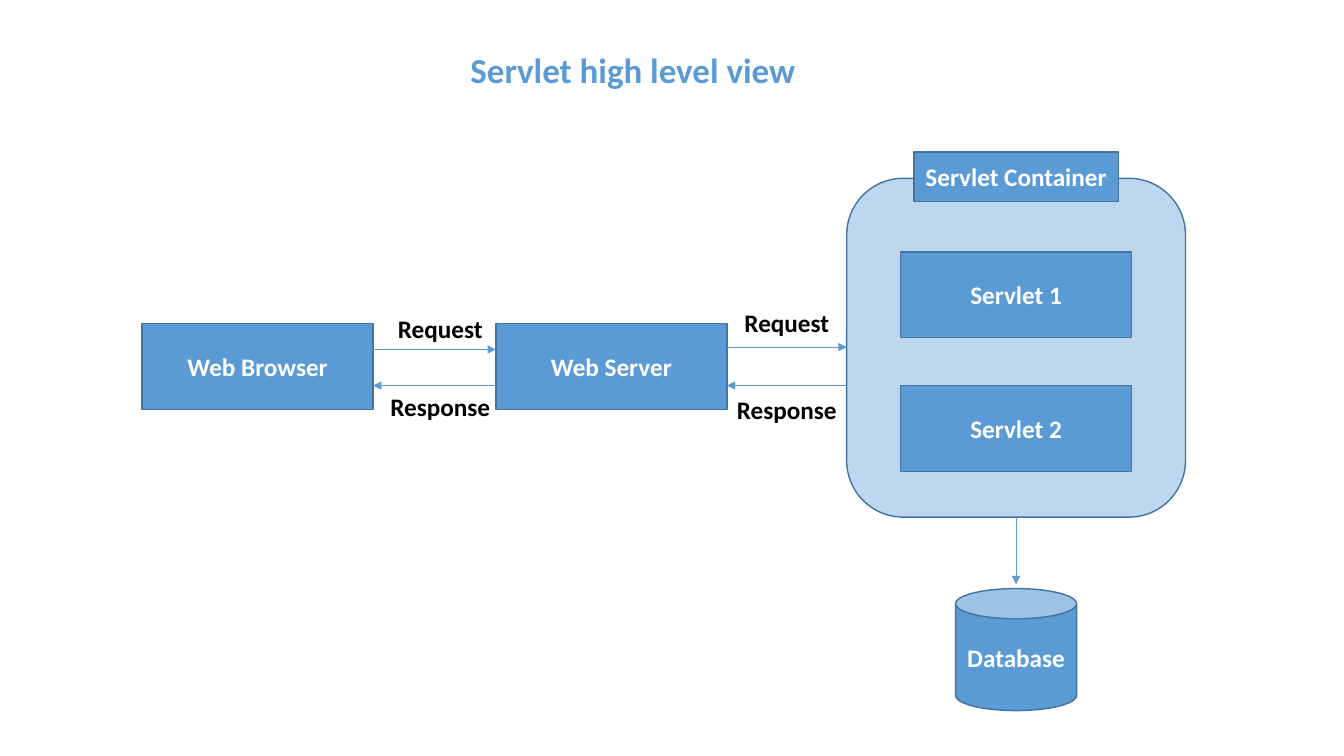
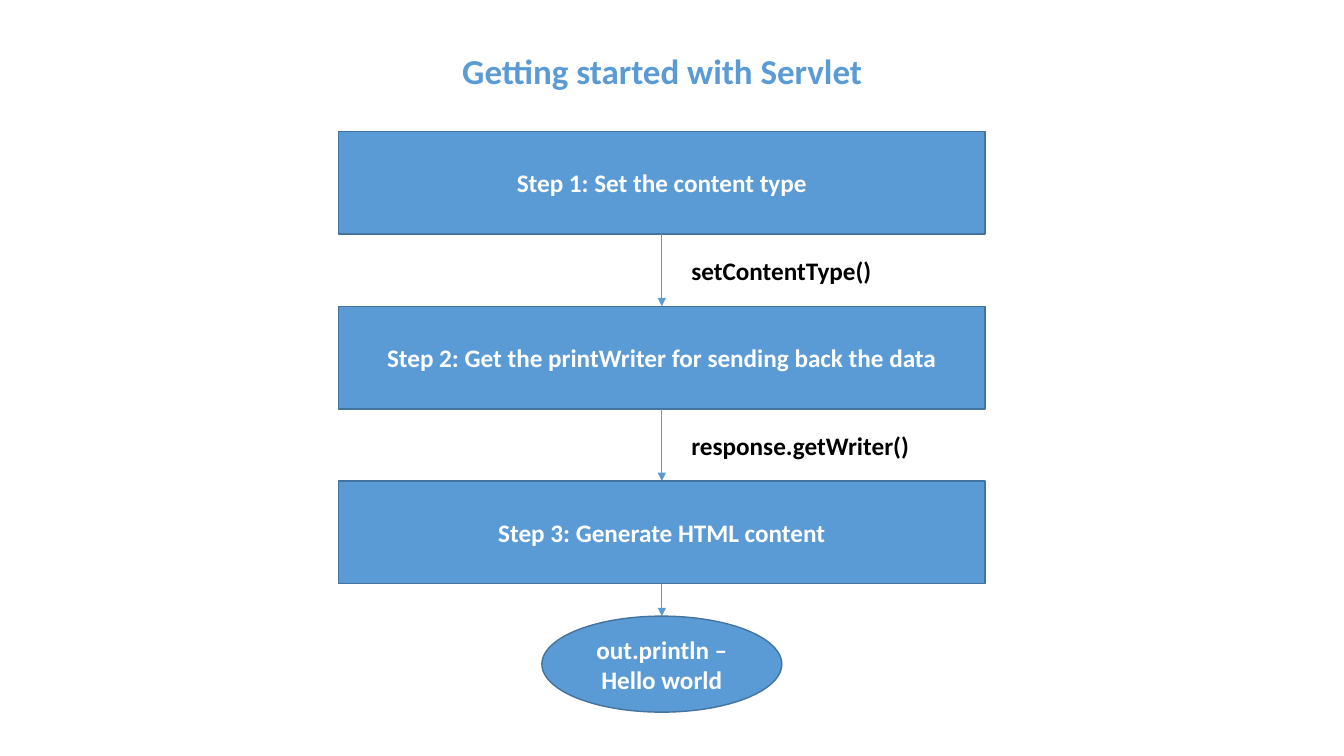
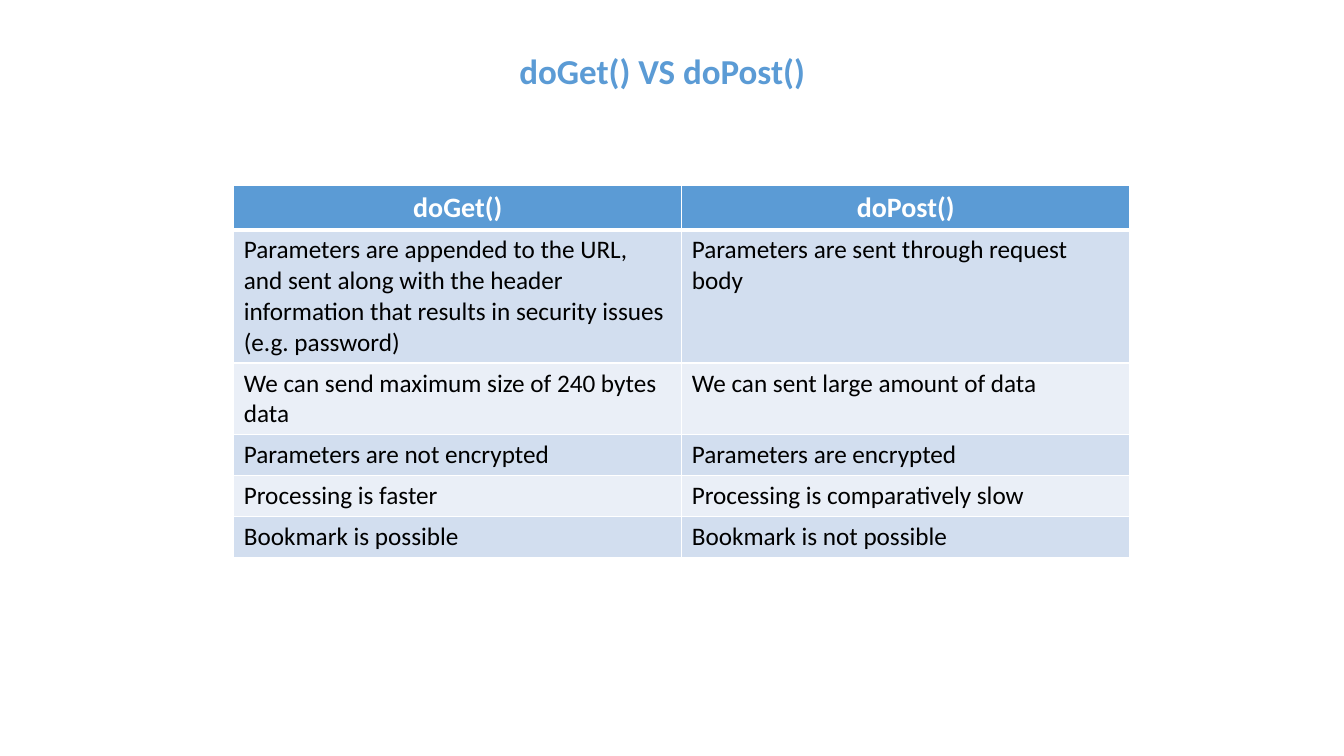
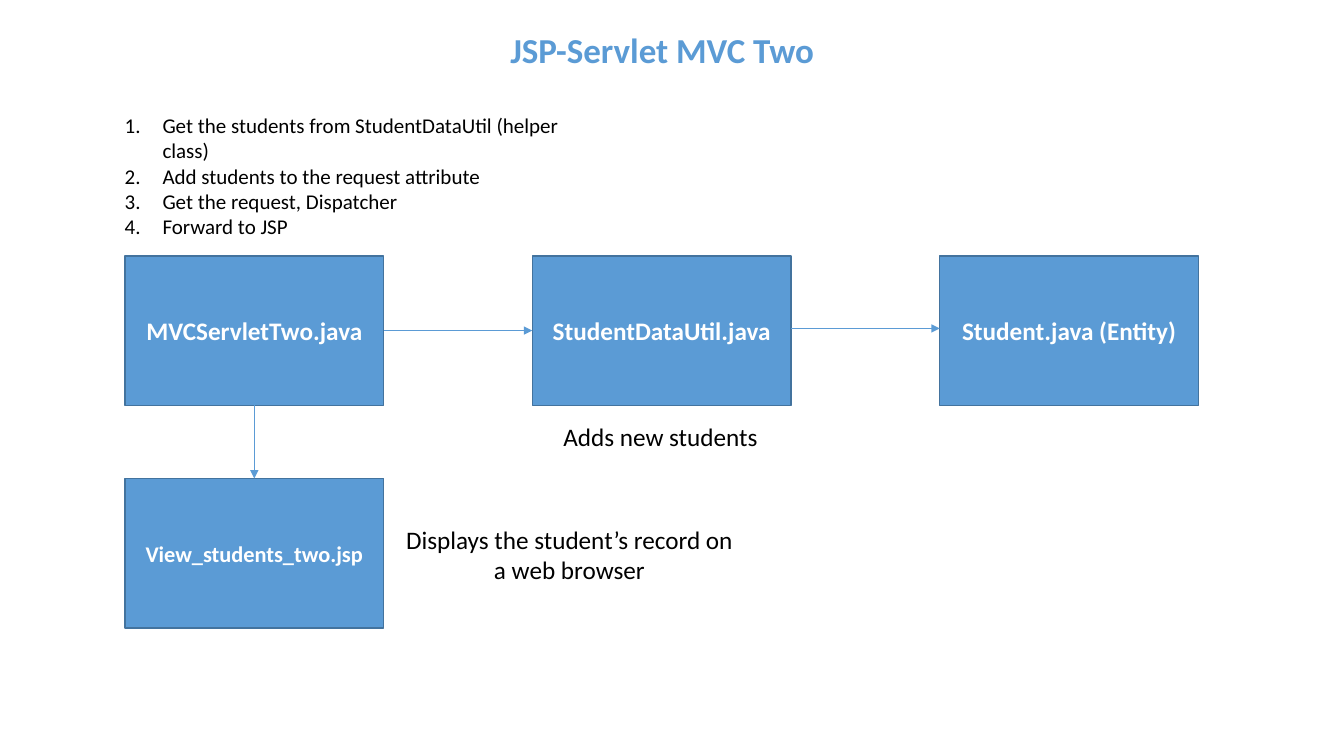
from dataclasses import dataclass

from lxml import etree
from pptx import Presentation
from pptx import util as u
from pptx.dml.color import RGBColor
from pptx.enum import shapes, text
from pptx.oxml import ns

BLUE = RGBColor(0x5B, 0x9B, 0xD5)
OUTLINE = RGBColor(0x43, 0x73, 0x9E)
PALE_BLUE = RGBColor(0xBD, 0xD7, 0xEE)
BAND_DARK = RGBColor(0xD2, 0xDE, 0xEF)
BAND_LIGHT = RGBColor(0xEA, 0xEF, 0xF7)
WHITE = RGBColor(0xFF, 0xFF, 0xFF)
BLACK = RGBColor(0, 0, 0)

TITLE = {"name": "Calibri", "size": u.Pt(25), "bold": True}
STRONG = {"name": "Calibri", "size": u.Pt(18), "bold": True}
SMALL_STRONG = {**STRONG, "size": u.Pt(16)}
HEADER = {**STRONG, "size": u.Pt(20)}
PLAIN = {**STRONG, "bold": False}
LIST = {**PLAIN, "size": u.Pt(15)}

LABEL_HEIGHT = 29
LEFT, CENTER = text.PP_ALIGN.LEFT, text.PP_ALIGN.CENTER
PRESET = shapes.MSO_SHAPE


@dataclass
class Box:
    """A rectangle in points."""
    left: float
    top: float
    width: float
    height: float

    @property
    def right(self):
        """Right edge."""
        return self.left + self.width

    @property
    def bottom(self):
        """Bottom edge."""
        return self.top + self.height

    @property
    def center(self):
        """Horizontal middle."""
        return self.left + self.width / 2

    def inner(self, across, down, width, height):
        """Box placed from this box's top left corner."""
        return Box(self.left + across, self.top + down, width, height)

    def centered(self, down, width, height):
        """Box centred across this one."""
        return self.inner((self.width - width) / 2, down, width, height)

    def lengths(self):
        """Position and size for python-pptx."""
        return [u.Pt(value) for value in (self.left, self.top, self.width, self.height)]


def add_xml(parent, tag, **attributes):
    """Append one DrawingML element."""
    return etree.SubElement(parent, ns.qn(tag), attributes)


def write(paragraph, words, style, color, alignment):
    """Put one formatted run in a paragraph."""
    run = paragraph.add_run()
    run.text = words
    for name, value in style.items():
        setattr(run.font, name, value)
    run.font.color.rgb = color
    paragraph.alignment = alignment


def add_title(slide, words, left=59, top=0):
    """Place and format the title placeholder."""
    title = slide.shapes.title
    title.left, title.top, title.width, title.height = Box(left, top, 828, 104.4).lengths()
    title.text_frame.vertical_anchor = text.MSO_ANCHOR.MIDDLE
    paragraph = title.text_frame.paragraphs[0]
    paragraph.line_spacing = 0.9
    write(paragraph, words, TITLE, BLUE, CENTER)


def add_node(slide, box, words="", preset=PRESET.RECTANGLE, fill=BLUE, style=STRONG):
    """Draw an outlined shape with centred white text."""
    shape = slide.shapes.add_shape(preset, *box.lengths())
    shape.shadow.inherit = False
    shape.fill.solid()
    shape.fill.fore_color.rgb = fill
    shape.line.color.rgb = OUTLINE
    shape.line.width = u.Pt(1)
    if words:
        shape.text_frame.word_wrap = True
        write(shape.text_frame.paragraphs[0], words, style, WHITE, CENTER)


def add_text(slide, box, lines, style=STRONG, alignment=LEFT, wrap=False):
    """Add a black text box with one paragraph per line and return its paragraphs."""
    frame = slide.shapes.add_textbox(*box.lengths()).text_frame
    frame.word_wrap = wrap
    frame.auto_size = text.MSO_AUTO_SIZE.SHAPE_TO_FIT_TEXT
    for index, line in enumerate(lines):
        paragraph = frame.add_paragraph() if index else frame.paragraphs[0]
        write(paragraph, line, style, BLACK, alignment)
    return frame.paragraphs


def add_arrow(slide, *ends):
    """Draw a thin arrow from x, y to x, y."""
    arrow = slide.shapes.add_connector(
        shapes.MSO_CONNECTOR.STRAIGHT, *[u.Pt(value) for value in ends])
    arrow.line.color.rgb = BLUE
    arrow.line.width = u.Pt(0.5)
    add_xml(arrow.line._get_or_add_ln(), "a:tailEnd", type="triangle")
    add_xml(arrow._element.spPr, "a:effectLst")


def add_exchange(slide, box, shift, spread):
    """Draw a labelled request along the box top and its response along the bottom."""
    add_arrow(slide, box.left, box.top, box.right, box.top)
    add_arrow(slide, box.right, box.bottom, box.left, box.bottom)
    labels = (("Request", 75.6, -LABEL_HEIGHT - spread), ("Response", 86.4, box.height + spread))
    for words, width, down in labels:
        label = box.centered(down, width, LABEL_HEIGHT)
        label.left += shift
        add_text(slide, label, [words])


def add_container(slide, box):
    """Draw the servlet container with its tag, servlets and database."""
    add_node(slide, box, preset=PRESET.ROUNDED_RECTANGLE, fill=PALE_BLUE)
    for index in range(2):
        servlet = box.centered(52.6 + index * 95.5, 165, 61.2)
        add_node(slide, servlet, f"Servlet {index + 1}")
    add_node(slide, box.centered(-18.7, 146, 35.3), "Servlet Container")
    database = box.centered(box.height + 51, 86.4, 87.2)
    add_arrow(slide, box.center, box.bottom, box.center, database.top - 3)
    add_node(slide, database, "Database", PRESET.CAN)


def add_overview(slide, box):
    """Draw browser, server and container with the traffic between them."""
    browser = box.inner(0, 122.5, 165, 61.2)
    server = box.inner(252.7, 122.5, 165, 61.2)
    container = box.inner(503.3, 18.7, 242, 242)
    add_container(slide, container)
    add_node(slide, browser, "Web Browser")
    add_node(slide, server, "Web Server")
    first_gap = Box(browser.right, box.top + 141, server.left - browser.right, 25.7)
    second_gap = Box(server.right, box.top + 139.2, container.left - server.right, 27.5)
    add_exchange(slide, first_gap, 4.6, 0.8)
    add_exchange(slide, second_gap, 0.5, 3)


def add_steps(slide, box, steps, calls, result):
    """Stack step bars joined by arrows, ending in a result ellipse."""
    height, gap, result_gap = 73.3, 51.5, 23.2
    for index, words in enumerate(steps):
        bar = box.inner(0, index * (height + gap), box.width, height)
        add_node(slide, bar, words)
        last = index == len(steps) - 1
        add_arrow(slide, bar.center, bar.bottom, bar.center,
                  bar.bottom + (result_gap if last else gap))
        if not last:
            call, width = calls[index]
            label = bar.inner(box.width / 2 + 14, height + 11.5, width, LABEL_HEIGHT)
            add_text(slide, label, [call])
    add_node(slide, bar.centered(height + result_gap, 171.4, 68.6), result, PRESET.OVAL)


def format_cell(cell, words, style, color, fill, alignment, bottom_width):
    """Write a cell and set its white borders and fill."""
    write(cell.text_frame.paragraphs[0], words, style, color, alignment)
    properties = cell._tc.get_or_add_tcPr()
    for side, width in (("L", 1), ("R", 1), ("T", 1), ("B", bottom_width)):
        border = add_xml(properties, f"a:ln{side}", w=str(u.Pt(width)))
        add_xml(add_xml(border, "a:solidFill"), "a:srgbClr", val=str(WHITE))
    cell.fill.solid()
    cell.fill.fore_color.rgb = fill


def add_comparison(slide, box, rows):
    """Fill a banded table below a header row."""
    table = slide.shapes.add_table(len(rows), len(rows[0]), *box.lengths()).table
    for index, row in enumerate(rows):
        table.rows[index].height = u.Pt(29.2)
        band = BAND_DARK if index % 2 else BAND_LIGHT
        look = (PLAIN, BLACK, band, LEFT, 1) if index else (HEADER, WHITE, BLUE, CENTER, 3)
        # The heavy header rule is shared with the top of the first body row.
        for column, words in enumerate(row):
            format_cell(table.cell(index, column), words, *look)
            if index == 1:
                top = table.cell(index, column)._tc.tcPr.find(ns.qn("a:lnT"))
                top.set("w", str(u.Pt(3)))


def add_numbered_list(slide, box, items):
    """Add a numbered list with hanging indents."""
    for paragraph in add_text(slide, box, items, LIST, wrap=True):
        properties = paragraph._p.get_or_add_pPr()
        properties.set("marL", str(u.Pt(27)))
        properties.set("indent", str(u.Pt(-27)))
        add_xml(properties, "a:buFont", typeface="+mj-lt")
        add_xml(properties, "a:buAutoNum", type="arabicPeriod")


def add_class_flow(slide, box, files, view):
    """Spread the class files across the box, with the view below the first."""
    width, height = 185, 106.8
    pitch = (box.width - width) / (len(files) - 1)
    nodes = [box.inner(index * pitch, 0, width, height) for index in range(len(files))]
    for node, words in zip(nodes, files):
        add_node(slide, node, words)
    for node, following, down in zip(nodes, nodes[1:], (53.3, 51.8)):
        add_arrow(slide, node.right, node.top + down, following.left, node.top + down)
    view_node = box.inner(0, box.height - height, width, height)
    add_node(slide, view_node, view, style=SMALL_STRONG)
    add_arrow(slide, view_node.center, nodes[0].bottom, view_node.center, view_node.top)
    add_text(slide, nodes[1].centered(height + 8, 154.8, LABEL_HEIGHT),
             ["Adds new students"], PLAIN)
    add_text(slide, view_node.inner(width + 7.2, 28.8, 250.6, 51),
             ["Displays the student\u2019s record on a web browser"], PLAIN, CENTER, True)


def main():
    """Build and save the four slides."""
    presentation = Presentation()
    presentation.slide_width, presentation.slide_height = u.Pt(960), u.Pt(540)
    layout = presentation.slide_layouts[5]
    overview, steps, comparison, flow = [
        presentation.slides.add_slide(layout) for _ in range(4)]

    add_title(overview, "Servlet high level view", left=38, top=-1)
    add_overview(overview, Box(101.5, 108.7, 745.3, 399))

    add_title(steps, "Getting started with Servlet")
    add_steps(
        steps, Box(242, 94, 461.5, 414),
        ["Step 1: Set the content type",
         "Step 2: Get the printWriter for sending back the data",
         "Step 3: Generate HTML content"],
        [("setContentType()", 144), ("response.getWriter()", 171.4)],
        "out.println \u2013 Hello world")

    add_title(comparison, "doGet() VS doPost()")
    add_comparison(comparison, Box(167, 132.5, 640, 175.2), [
        ("doGet()", "doPost()"),
        ("Parameters are appended to the URL, and sent along with the header information "
         "that results in security issues (e.g. password)",
         "Parameters are sent through request body"),
        ("We can send maximum size of 240 bytes data", "We can sent large amount of data"),
        ("Parameters are not encrypted", "Parameters are encrypted"),
        ("Processing is faster", "Processing is comparatively slow"),
        ("Bookmark is possible", "Bookmark is not possible")])

    add_title(flow, "JSP-Servlet MVC Two", top=-15)
    add_numbered_list(flow, Box(82, 77, 352, 98), [
        "Get the students from StudentDataUtil (helper class)",
        "Add students to the request attribute",
        "Get the request, Dispatcher",
        "Forward to JSP"])
    add_class_flow(
        flow, Box(89.2, 182.8, 767, 265.8),
        ["MVCServletTwo.java", "StudentDataUtil.java", "Student.java (Entity)"],
        "View_students_two.jsp")

    presentation.save("out.pptx")


main()
